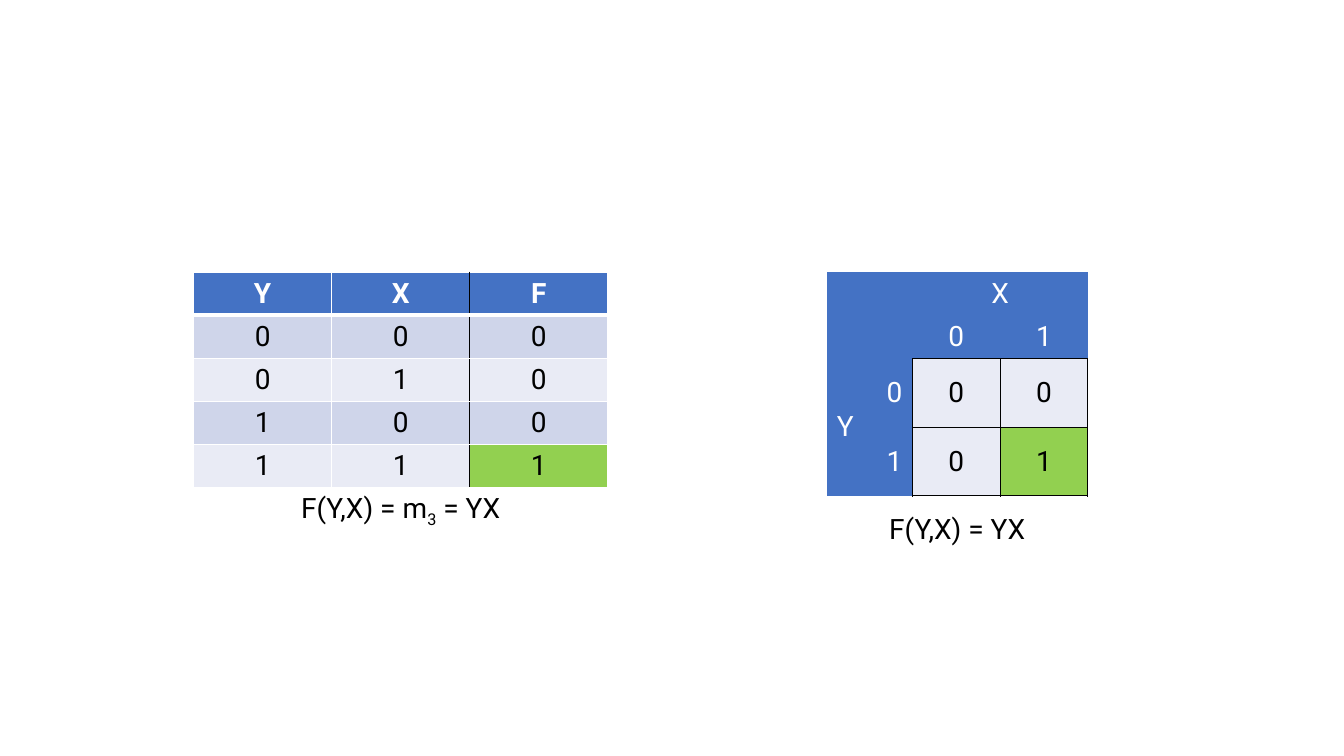
from dataclasses import dataclass, field

from lxml.etree import SubElement
from pptx import Presentation
from pptx.dml.color import RGBColor
from pptx.enum.text import MSO_ANCHOR, PP_ALIGN
from pptx.oxml.ns import qn
from pptx.slide import Slide
from pptx.table import _Cell
from pptx.util import Inches, Pt

WHITE = RGBColor(0xFF, 0xFF, 0xFF)
BLACK = RGBColor(0x00, 0x00, 0x00)
BLUE = RGBColor(0x44, 0x72, 0xC4)
BAND_DARK = RGBColor(0xCF, 0xD5, 0xEA)
BAND_LIGHT = RGBColor(0xE9, 0xEB, 0xF5)
GREEN = RGBColor(0x92, 0xD0, 0x50)

FONT = {"name": "Roboto", "size": Pt(20)}
SIDES = "LRTB"
Edge = tuple[RGBColor, float]
THIN_BLACK: Edge = (BLACK, 1)
THIN_WHITE: Edge = (WHITE, 1)
THICK_WHITE: Edge = (WHITE, 3)


@dataclass
class CellSpec:
    text: str = ""
    fill: RGBColor | None = None
    color: RGBColor = BLACK
    bold: bool = False
    align: PP_ALIGN = PP_ALIGN.CENTER
    anchor: MSO_ANCHOR = MSO_ANCHOR.TOP
    edges: dict[str, Edge] = field(default_factory=dict)
    subscript: str = ""
    tail: str = ""


@dataclass
class TableSpec:
    left: float
    top: float
    widths: list[float]
    heights: list[float]
    cells: list[list[CellSpec]]
    merges: list[tuple[int, int, int, int]]


def set_edge(cell: _Cell, side: str, edge: Edge | None) -> None:
    ln = SubElement(cell._tc.get_or_add_tcPr(), qn(f"a:ln{side}"))
    if edge is None:
        ln.set("w", "0")
        SubElement(ln, qn("a:noFill"))
        return
    color, width = edge
    ln.set("w", str(Pt(width)))
    fill = SubElement(ln, qn("a:solidFill"))
    SubElement(fill, qn("a:srgbClr")).set("val", str(color))


def fill_cell(cell: _Cell, spec: CellSpec) -> None:
    for side in SIDES:
        set_edge(cell, side, spec.edges.get(side))
    if spec.fill is None:
        cell.fill.background()
    else:
        cell.fill.solid()
        cell.fill.fore_color.rgb = spec.fill
    cell.vertical_anchor = spec.anchor
    p = cell.text_frame.paragraphs[0]
    p.alignment = spec.align
    for text in (spec.text, spec.subscript, spec.tail):
        if not text:
            continue
        r = p.add_run()
        r.text = text
        for name, value in (FONT | {"bold": spec.bold}).items():
            setattr(r.font, name, value)
        r.font.color.rgb = spec.color
        if text == spec.subscript:
            r._r.get_or_add_rPr().set("baseline", "-25000")


def draw_table(s: Slide, spec: TableSpec) -> None:
    frame = s.shapes.add_table(
        len(spec.heights), len(spec.widths), Inches(spec.left), Inches(spec.top),
        Inches(sum(spec.widths)), Inches(sum(spec.heights)))
    table = frame.table
    table.first_row = table.horz_banding = False
    for column, width in zip(table.columns, spec.widths):
        column.width = Inches(width)
    for row, height in zip(table.rows, spec.heights):
        row.height = Inches(height)
    for r, row_specs in enumerate(spec.cells):
        for c, cell_spec in enumerate(row_specs):
            fill_cell(table.cell(r, c), cell_spec)
    for top, left, bottom, right in spec.merges:
        table.cell(top, left).merge(table.cell(bottom, right))


def truth_cell(row: int, col: int, text: str) -> CellSpec:
    edges = dict.fromkeys(SIDES, THIN_WHITE)
    if row == 0:
        edges["B"] = THICK_WHITE
    elif row == 1:
        edges["T"] = THICK_WHITE
    if col == 1:
        edges["R"] = THIN_BLACK
    elif col == 2:
        edges["L"] = THIN_BLACK
    if row == 0:
        return CellSpec(text, BLUE, WHITE, True, edges=edges)
    fill = BAND_DARK if row % 2 else BAND_LIGHT
    if col == 2 and text == "1":
        fill = GREEN
    return CellSpec(text, fill, edges=edges)


def map_cell(row: int, col: int, text: str) -> CellSpec:
    anchor = MSO_ANCHOR.BOTTOM if row < 2 else MSO_ANCHOR.MIDDLE
    if row >= 2 and col >= 2:
        fill = GREEN if text == "1" else BAND_LIGHT
        return CellSpec(text, fill, anchor=anchor,
                        edges=dict.fromkeys(SIDES, THIN_BLACK))
    edges = {}
    if row == 1 and col >= 2:
        edges["B"] = THIN_BLACK
    elif row >= 2 and col == 1:
        edges["R"] = THIN_BLACK
    align = PP_ALIGN.CENTER
    if row >= 2:
        align = PP_ALIGN.RIGHT if col == 1 else PP_ALIGN.LEFT
    return CellSpec(text, BLUE, WHITE, align=align, anchor=anchor, edges=edges)


def caption_row(caption: CellSpec, columns: int) -> list[CellSpec]:
    return [caption] + [CellSpec() for _ in range(columns - 1)]


def truth_table() -> TableSpec:
    rows = ["YXF", "000", "010", "100", "111"]
    cells = [[truth_cell(r, c, t) for c, t in enumerate(row)]
             for r, row in enumerate(rows)]
    caption = CellSpec("F(Y,X) = m", subscript="3", tail=" = YX")
    cells.append(caption_row(caption, 3))
    return TableSpec(1.92, 2.7, [1.37] * 3, [0.42] * 6, cells, [(5, 0, 5, 2)])


def karnaugh_map() -> TableSpec:
    rows = [["", "", "X", ""], ["", "", "0", "1"],
            ["Y", "0", "0", "0"], ["", "1", "0", "1"]]
    cells = [[map_cell(r, c, t) for c, t in enumerate(row)]
             for r, row in enumerate(rows)]
    caption = CellSpec("F(Y,X) = YX", anchor=MSO_ANCHOR.MIDDLE)
    cells.append(caption_row(caption, 4))
    return TableSpec(8.2, 2.7, [0.43, 0.42, 0.87, 0.87],
                     [0.43] * 2 + [0.68] * 3, cells,
                     [(0, 2, 0, 3), (2, 0, 3, 0), (4, 0, 4, 3)])


def main() -> None:
    prs = Presentation()
    prs.slide_width, prs.slide_height = Inches(13.33), Inches(7.5)
    s = prs.slides.add_slide(prs.slide_layouts[6])
    for spec in (truth_table(), karnaugh_map()):
        draw_table(s, spec)
    prs.save("out.pptx")


if __name__ == "__main__":
    main()
